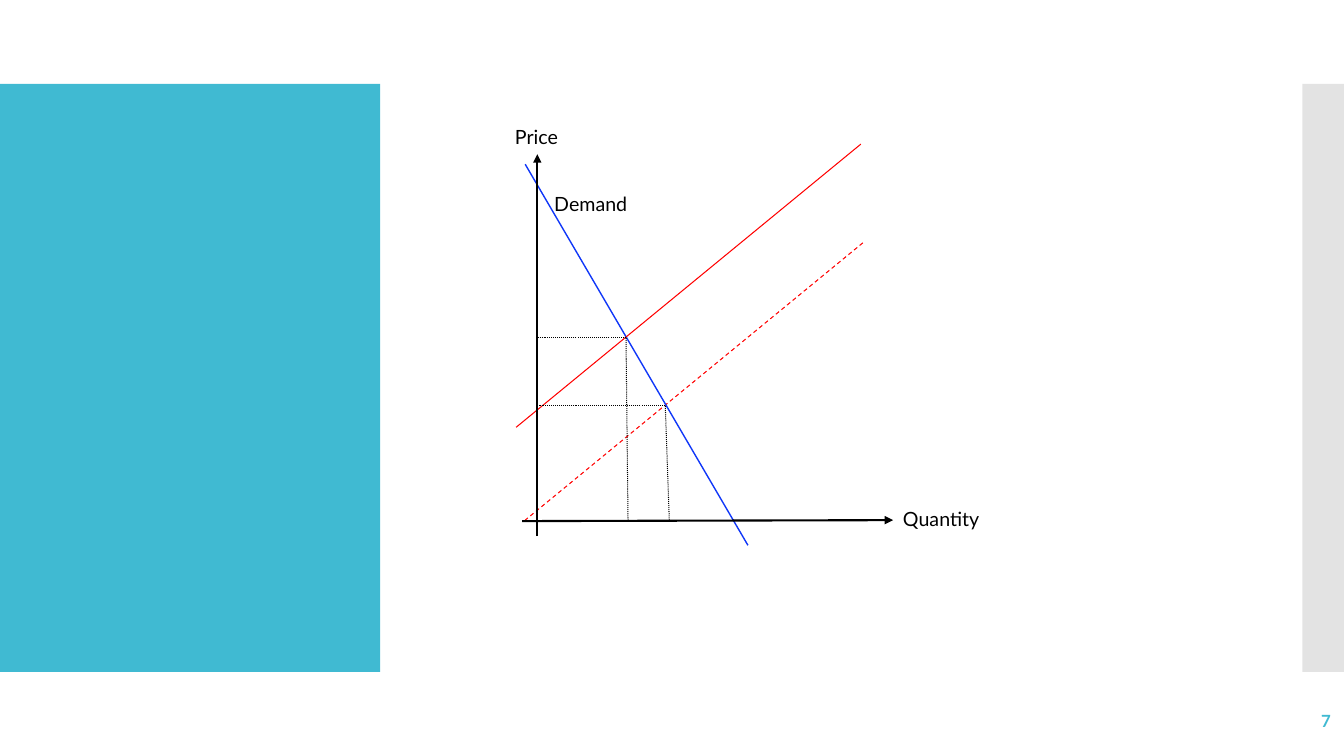
from lxml.etree import SubElement
from pptx import Presentation
from pptx.dml.color import RGBColor
from pptx.enum.dml import MSO_LINE
from pptx.enum.shapes import MSO_CONNECTOR, MSO_SHAPE
from pptx.enum.text import MSO_ANCHOR, MSO_AUTO_SIZE, PP_ALIGN
from pptx.oxml.ns import qn
from pptx.util import Inches, Pt


def color(value):
    return RGBColor.from_string(value)


deck = Presentation()
deck.slide_width, deck.slide_height = Inches(13.333), Inches(7.5)
slide = deck.slides.add_slide(deck.slide_layouts[6])
column, row = deck.slide_width / 100, deck.slide_height / 100


def place(x, y):
    return round(x * column), round(y * row)


TEAL, BLACK, RED, BLUE = "40BAD2", "000000", "FF0000", "1037F8"
panel_top, panel_height = 11.11, 77.78
price_axis, quantity_axis = 39.98, 68.85
new_quantity, new_price = 46.58, 44.67
old_quantity, old_price = 49.5, 53.6

for left, width, fill, opacity in [(0, 28.28, TEAL, 100), (96.9, 3.1, "C8C8C8", 50)]:
    panel = slide.shapes.add_shape(
        MSO_SHAPE.RECTANGLE, *place(left, panel_top), *place(width, panel_height))
    panel.shadow.inherit = False
    panel.line.fill.background()
    panel.fill.solid()
    panel.fill.fore_color.rgb = color(fill)
    if opacity < 100:
        tint = panel.fill._xPr.find(qn("a:solidFill"))[0]
        SubElement(tint, qn("a:alpha"), val=str(opacity * 1000))

curves = [
    ((64.2, 32.13), (39.08, 68.8), RED, 0.75, MSO_LINE.DASH, False),
    ((55.65, 72.13), (39.08, 21.73), BLUE, 1, None, False),
    ((64.05, 19.07), (38.4, 56.53), RED, 0.75, None, False),
    ((38.85, 68.93), (66.45, 68.8), BLACK, 1.5, None, True),
    ((price_axis, 70.93), (price_axis, 20.4), BLACK, 1.5, None, True),
]
guides = [
    ((new_quantity, new_price), (price_axis, new_price)),
    ((46.73, quantity_axis), (new_quantity, new_price)),
    ((49.8, quantity_axis), (old_quantity, old_price)),
    ((old_quantity, old_price), (40.13, old_price)),
]
curves += [(start, end, BLACK, 0.75, MSO_LINE.ROUND_DOT, False) for start, end in guides]

for start, end, stroke, weight, dash, arrow in curves:
    curve = slide.shapes.add_connector(MSO_CONNECTOR.STRAIGHT, *place(*start), *place(*end))
    curve.line.color.rgb = color(stroke)
    curve.line.width = Pt(weight)
    if dash:
        curve.line.dash_style = dash
    if arrow:
        SubElement(curve.line._get_or_add_ln(), qn("a:tailEnd"), type="triangle")
    SubElement(curve._element.spPr, qn("a:effectLst"))

labels = [
    ("7", 87.23, 92.67, 12.53, 5.33, 12, TEAL, True),
    ("Demand", 40.5, 24.67, 9.3, 4.53, 14, BLACK, False),
    ("Price", 37.58, 15.87, 4.8, 4.53, 14, BLACK, False),
    ("Quantity", 66.45, 66.4, 7.2, 4.53, 14, BLACK, False),
]
for words, left, top, width, height, size, ink, page_number in labels:
    label = slide.shapes.add_textbox(*place(left, top), *place(width, height))
    frame = label.text_frame
    frame.word_wrap = words in ("7", "Demand")
    frame.auto_size = MSO_AUTO_SIZE.NONE if page_number else MSO_AUTO_SIZE.SHAPE_TO_FIT_TEXT
    frame.vertical_anchor = MSO_ANCHOR.MIDDLE if page_number else MSO_ANCHOR.TOP
    paragraph = frame.paragraphs[0]
    paragraph.alignment = PP_ALIGN.RIGHT if page_number else PP_ALIGN.LEFT
    run = paragraph.add_run()
    run.text = words
    run.font.name = "Lato"
    run.font.size = Pt(size)
    run.font.bold = page_number
    run.font.color.rgb = color(ink)

deck.save("out.pptx")
